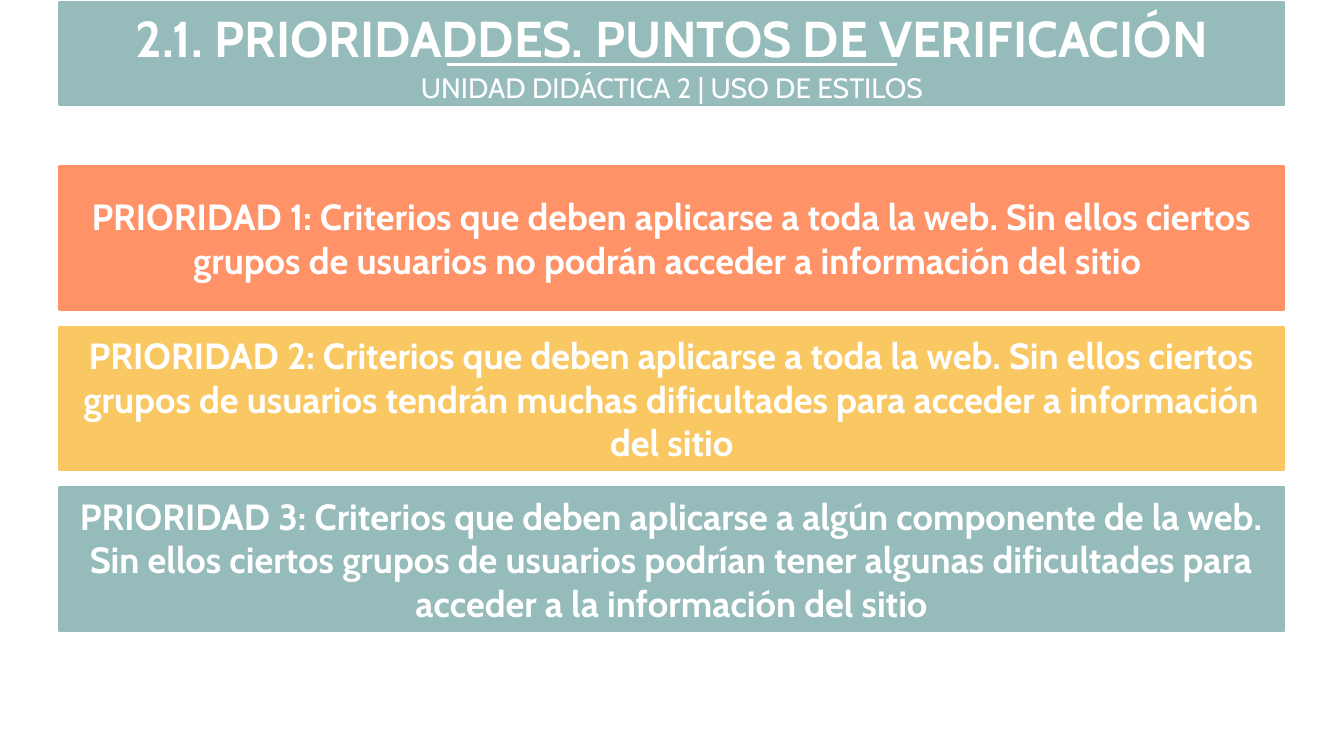
"""Build the slide on the three accessibility priorities."""
from lxml import etree
from pptx import Presentation
from pptx.dml.color import RGBColor
from pptx.enum.shapes import MSO_CONNECTOR, MSO_SHAPE
from pptx.enum.text import MSO_ANCHOR, MSO_AUTO_SIZE, PP_ALIGN
from pptx.oxml.ns import qn
from pptx.util import Pt

RECT = MSO_SHAPE.RECTANGLE
STRAIGHT = MSO_CONNECTOR.STRAIGHT
TOP, MIDDLE = MSO_ANCHOR.TOP, MSO_ANCHOR.MIDDLE
CENTER = PP_ALIGN.CENTER
NO_AUTOFIT = MSO_AUTO_SIZE.NONE

FONT = "Cabin"
WHITE, TEAL, ORANGE, YELLOW = "FFFFFF", "95BBBA", "FF9267", "FAC863"
LEFT, WIDTH = 42.5, 874.8
BAR_TOP, BAR_HEIGHT, BAR_STEP = 118.6, 102.5, 114.8


def rgb(value):
    return RGBColor.from_string(value)


def fill_band(sp, color, text, size, bold, anchor):
    sp.fill.solid()
    sp.fill.fore_color.rgb = rgb(color)
    sp.line.color.rgb = rgb(color)
    sp.line.width = Pt(1.5)
    tf = sp.text_frame
    tf.word_wrap = True
    tf.auto_size = NO_AUTOFIT
    tf.vertical_anchor = anchor
    p = tf.paragraphs[0]
    p.alignment = CENTER
    r = p.add_run()
    r.text = text
    r.font.name = FONT
    r.font.size = Pt(size)
    r.font.bold = bold
    r.font.color.rgb = rgb(WHITE)


prs = Presentation()
prs.slide_width, prs.slide_height = Pt(960), Pt(540)
s = prs.slides.add_slide(prs.slide_layouts[5])

title = s.shapes.title
title.left, title.top, title.width, title.height = Pt(LEFT), Pt(1.2), Pt(WIDTH), Pt(72.7)
fill_band(title, TEAL, "2.1. PRIORIDADDES. PUNTOS DE VERIFICACIÓN", 36, True, TOP)

subtitle = s.shapes.add_shape(RECT, Pt(LEFT), Pt(49.7), Pt(WIDTH), Pt(25))
subtitle.shadow.inherit = False
fill_band(subtitle, TEAL, "UNIDAD DIDÁCTICA 2 | USO DE ESTILOS", 20, False, MIDDLE)

rule = s.shapes.add_connector(STRAIGHT, Pt(319), Pt(46), Pt(641), Pt(46))
rule.line.color.rgb = rgb(WHITE)
rule.line.width = Pt(2.25)
etree.SubElement(rule._element.spPr, qn("a:effectLst"))

priorities = [
    (ORANGE, "PRIORIDAD 1: Criterios que deben aplicarse a toda la web. Sin ellos ciertos "
             "grupos de usuarios no podrán acceder a información del sitio "),
    (YELLOW, "PRIORIDAD 2: Criterios que deben aplicarse a toda la web. Sin ellos ciertos "
             "grupos de usuarios tendrán muchas dificultades para acceder a información "
             "del sitio"),
    (TEAL, "PRIORIDAD 3: Criterios que deben aplicarse a algún componente de la web. "
           "Sin ellos ciertos grupos de usuarios podrían tener algunas dificultades para "
           "acceder a la información del sitio"),
]
for i, (color, text) in enumerate(priorities):
    sp = s.shapes.add_shape(RECT, Pt(LEFT), Pt(BAR_TOP + i * BAR_STEP), Pt(WIDTH), Pt(BAR_HEIGHT))
    sp.shadow.inherit = False
    fill_band(sp, color, text, 26, True, MIDDLE)

prs.save("out.pptx")
